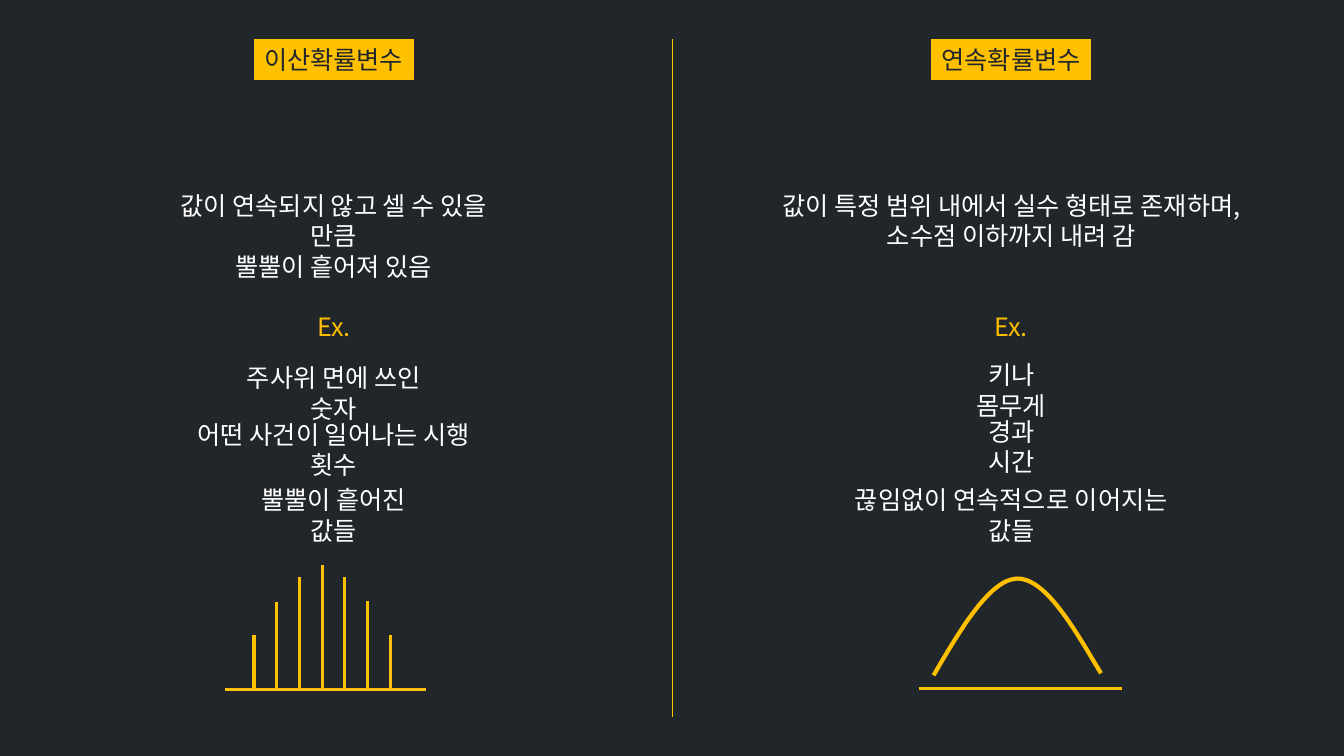
from typing import NamedTuple

from lxml.etree import SubElement
from pptx import Presentation
from pptx.dml.color import RGBColor
from pptx.enum.shapes import MSO_CONNECTOR, MSO_SHAPE
from pptx.enum.text import MSO_ANCHOR, MSO_AUTO_SIZE, PP_ALIGN
from pptx.oxml.ns import qn
from pptx.shapes.autoshape import Shape
from pptx.slide import Slide
from pptx.util import Inches, Pt

DARK = RGBColor(0x21, 0x26, 0x2A)
GOLD = RGBColor(0xFF, 0xC0, 0x00)
WHITE = RGBColor(0xFF, 0xFF, 0xFF)
FONT = "Noto Sans CJK KR"

HEADING_TOP, HEADING_WIDTH, LINE_HEIGHT = 0.39, 1.58, 0.4
BASELINE = 6.84
STEM_LEFT, STEM_GAP = 2.52, 0.225
STEM_TOPS = (6.3, 5.97, 5.72, 5.61, 5.72, 5.96, 6.3)
CURVE_HALVES = (
    ((9.26, 6.7), (9.54, 6.22), (9.82, 5.75), (10.09, 5.74)),
    ((10.09, 5.74), (10.37, 5.74), (10.64, 6.21), (10.92, 6.68)),
)
CURVE_STEPS = 24
UNITS_PER_INCH = 1000

Point = tuple[float, float]


class Note(NamedTuple):
    text: str
    top: float
    width: float
    height: float = LINE_HEIGHT
    color: RGBColor = WHITE
    inset: float = 0.15


class Column(NamedTuple):
    heading: str
    center: float
    notes: tuple[Note, ...]


EXAMPLE = Note("Ex.", 3.04, 0.55, color=GOLD, inset=0.1)
COLUMNS = (
    Column("이산확률변수", 3.31, (
        Note("값이 연속되지 않고 셀 수 있을 만큼\n뿔뿔이 흩어져 있음", 1.84, 3.8, 0.71),
        EXAMPLE,
        Note("주사위 면에 쓰인 숫자", 3.55, 2.46),
        Note("어떤 사건이 일어나는 시행 횟수", 4.11, 3.44),
        Note("뿔뿔이 흩어진 값들", 4.76, 2.17),
    )),
    Column("연속확률변수", 10.03, (
        Note("값이 특정 범위 내에서 실수 형태로 존재하며,\n소수점 이하까지 내려 감",
             1.84, 4.78, 0.71, inset=0.1),
        EXAMPLE,
        Note("키나 몸무게", 3.52, 1.41),
        Note("경과 시간", 4.08, 1.18),
        Note("끊임없이 연속적으로 이어지는 값들", 4.76, 3.84),
    )),
)


def write_text(holder: Shape, text: str, *, color: RGBColor, wrap: bool = True,
               align: PP_ALIGN = PP_ALIGN.CENTER, inset: float = 0.1,
               size: float = 18) -> None:
    frame = holder.text_frame
    frame.word_wrap = wrap
    frame.auto_size = MSO_AUTO_SIZE.NONE
    frame.vertical_anchor = MSO_ANCHOR.TOP
    frame.margin_left = frame.margin_right = Inches(inset)
    paragraph = frame.paragraphs[0]
    paragraph.text = text.replace("\n", "\v")
    paragraph.alignment = align
    for run in paragraph.runs:
        run.font.size = Pt(size)
        run.font.name = FONT
        run.font.color.rgb = color
        run.font._element.set("kern", "0")
        SubElement(run.font._element, qn("a:ea")).set("typeface", FONT)


def draw_line(slide: Slide, start: Point, end: Point, width: float = 2.25) -> None:
    line = slide.shapes.add_connector(
        MSO_CONNECTOR.STRAIGHT, *(Inches(value) for value in (*start, *end)))
    line.line.color.rgb = GOLD
    line.line.width = Pt(width)
    SubElement(line._element.spPr, qn("a:effectLst"))


def draw_column(slide: Slide, column: Column) -> None:
    heading = slide.shapes.add_shape(
        MSO_SHAPE.RECTANGLE, Inches(column.center - HEADING_WIDTH / 2),
        Inches(HEADING_TOP), Inches(HEADING_WIDTH), Inches(LINE_HEIGHT))
    heading.shadow.inherit = False
    heading.fill.solid()
    heading.fill.fore_color.rgb = GOLD
    heading.line.color.rgb = GOLD
    heading.line.width = Pt(0.75)
    write_text(heading, column.heading, color=DARK, wrap=False, align=PP_ALIGN.LEFT)
    for note in column.notes:
        box = slide.shapes.add_textbox(
            Inches(column.center - note.width / 2), Inches(note.top),
            Inches(note.width), Inches(note.height))
        write_text(box, note.text, color=note.color, inset=note.inset)


def bezier_point(controls: tuple[Point, ...], t: float) -> Point:
    weights = ((1 - t) ** 3, 3 * t * (1 - t) ** 2, 3 * t ** 2 * (1 - t), t ** 3)
    x, y = (UNITS_PER_INCH * sum(w * value for w, value in zip(weights, axis))
            for axis in zip(*controls))
    return x, y


def draw_curve(slide: Slide) -> None:
    start, *points = [bezier_point(half, step / CURVE_STEPS)
                      for half in CURVE_HALVES for step in range(CURVE_STEPS + 1)]
    builder = slide.shapes.build_freeform(*start, scale=Inches(1) / UNITS_PER_INCH)
    builder.add_line_segments(points, close=False)
    curve = builder.convert_to_shape()
    curve.shadow.inherit = False
    curve.fill.background()
    curve.line.color.rgb = GOLD
    curve.line.width = Pt(3)


def main() -> None:
    deck = Presentation()
    deck.slide_width, deck.slide_height = Inches(13.33), Inches(7.5)
    slide = deck.slides.add_slide(deck.slide_layouts[6])
    slide.background.fill.solid()
    slide.background.fill.fore_color.rgb = DARK

    draw_line(slide, (6.67, 0.39), (6.67, 7.11), width=0.5)
    for column in COLUMNS:
        draw_column(slide, column)

    draw_line(slide, (2.23, BASELINE), (4.23, BASELINE))
    for index, top in enumerate(STEM_TOPS):
        x = STEM_LEFT + index * STEM_GAP
        draw_line(slide, (x, BASELINE), (x, top))

    draw_line(slide, (9.12, 6.83), (11.13, 6.83))
    draw_curve(slide)
    deck.save("out.pptx")


if __name__ == "__main__":
    main()
